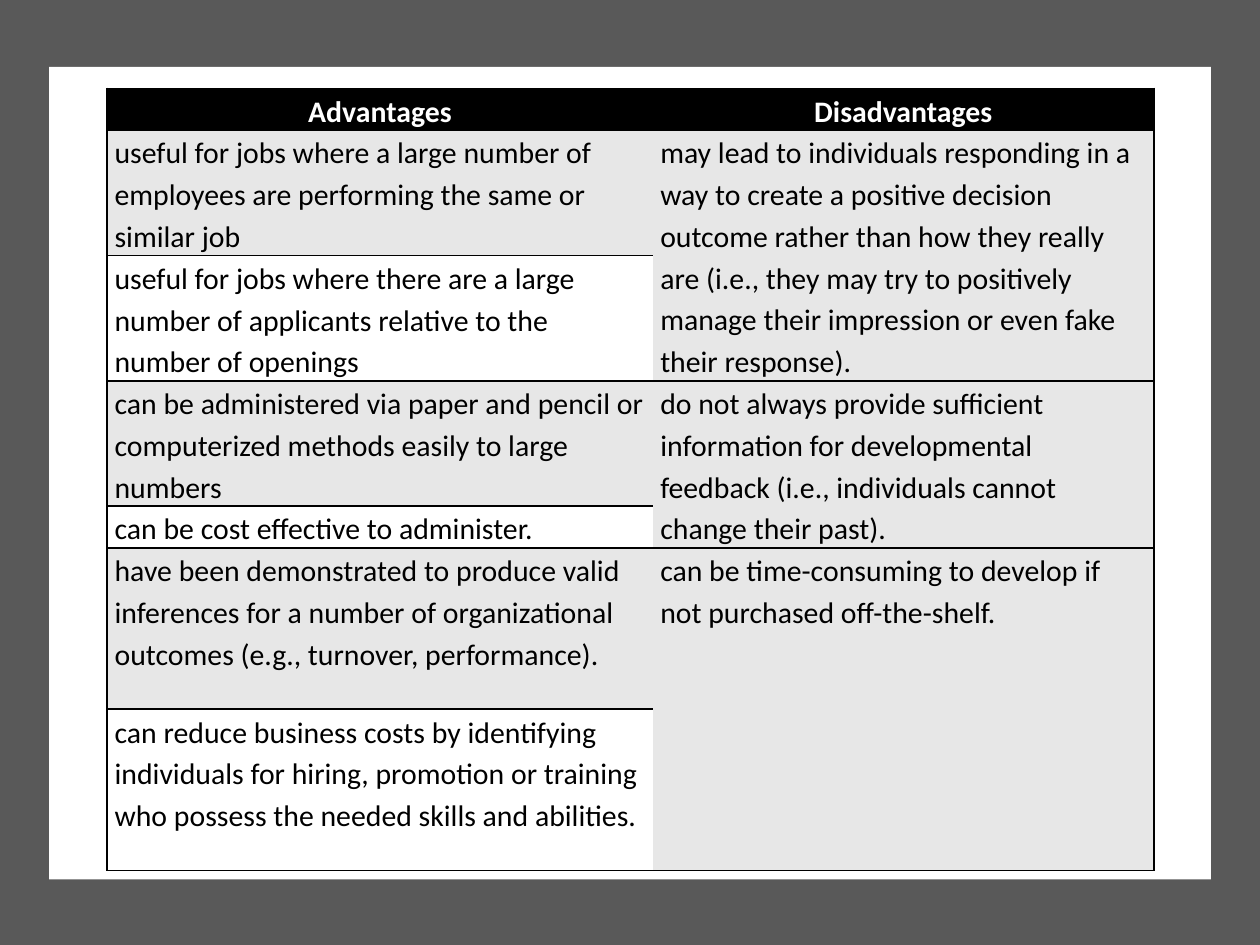
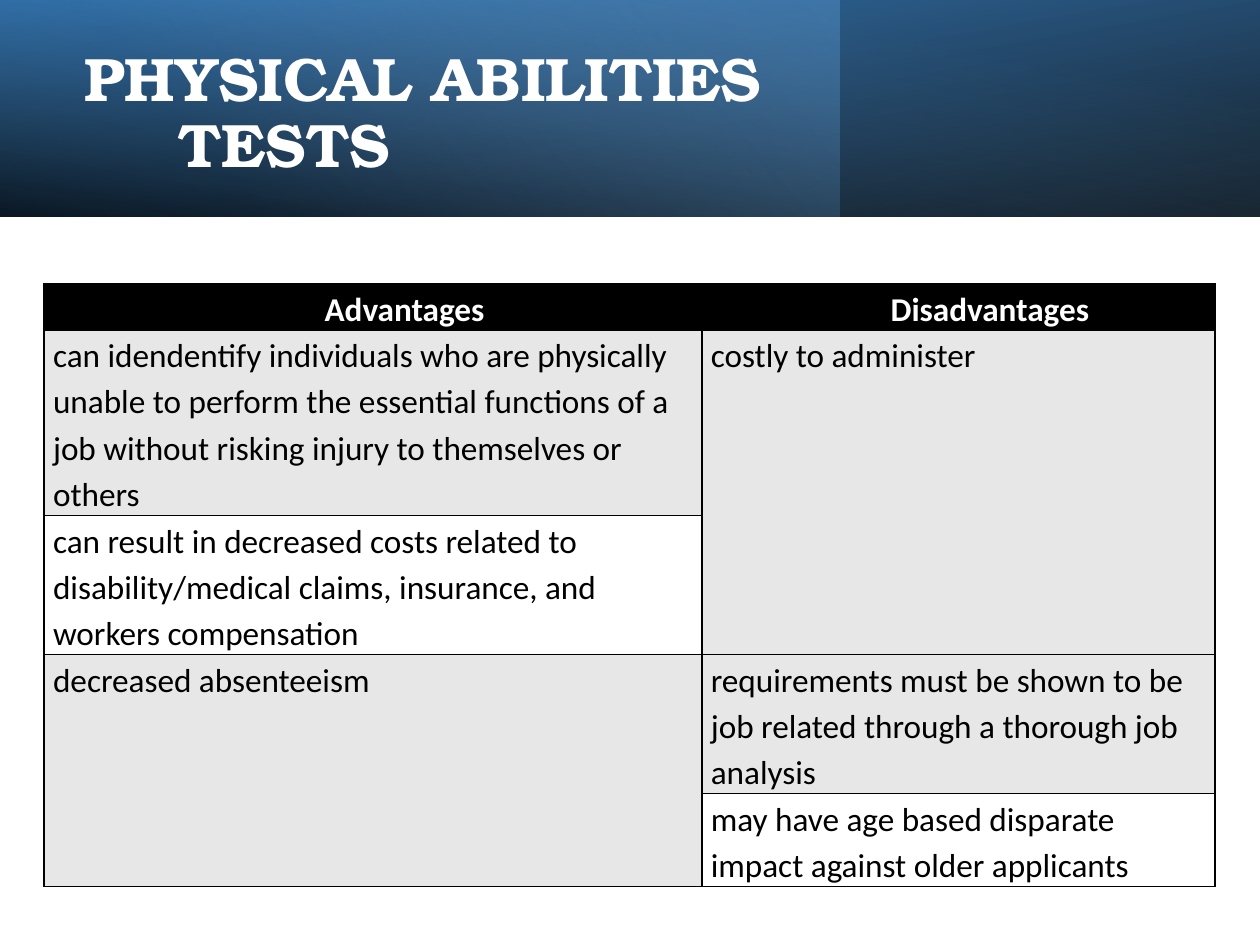
from dataclasses import dataclass

from lxml.etree import SubElement
from pptx import Presentation
from pptx.dml.color import RGBColor
from pptx.enum.shapes import MSO_SHAPE
from pptx.enum.text import MSO_ANCHOR, MSO_AUTO_SIZE, PP_ALIGN
from pptx.oxml import parse_xml
from pptx.oxml.ns import nsdecls, qn
from pptx.util import Cm, Pt


@dataclass(frozen=True)
class Theme:
    white: str = "FFFFFF"
    black: str = "000000"
    frame: str = "595959"
    shade: str = "E7E7E7"
    blue: str = "5B9BD5"
    deep_blue: str = "2E75B6"
    pale_blue: str = "9DC3E6"
    title_font: str = "TeX Gyre Bonum"
    body_font: str = "Calibri"
    title_size: float = 35
    line_spacing: float = 1.15
    border: float = 1


THEME = Theme()
WIDTH, HEIGHT = 25.4, 19.05
NO_STYLE = "{2D5ABB26-0587-4C30-8999-92F81FD0307C}"
HEADER = ("Advantages", "Disadvantages")

# None marks a cell that is covered by the one above it.
BIODATA = [
    HEADER,
    ("useful for jobs where a large number of employees are performing the same or similar job",
     "may lead to individuals responding in a way to create a positive decision outcome rather "
     "than how they really are (i.e., they may try to positively manage their impression or even "
     "fake their response)."),
    ("useful for jobs where there are a large number of applicants relative to the number of "
     "openings", None),
    ("can be administered via paper and pencil or computerized methods easily to large numbers",
     "do not always provide sufficient information for developmental feedback (i.e., individuals "
     "cannot change their past)."),
    ("can be cost effective to administer.", None),
    ("have been demonstrated to produce valid inferences for a number of organizational outcomes "
     "(e.g., turnover, performance).",
     "can be time-consuming to develop if not purchased off-the-shelf."),
    ("can reduce business costs by identifying individuals for hiring, promotion or training who "
     "possess the needed skills and abilities.", None),
]
PHYSICAL = [
    HEADER,
    ("can idendentify individuals who are physically unable to perform the essential functions "
     "of a job without risking injury to themselves or others", "costly to administer"),
    ("can result in decreased costs related to disability/medical claims, insurance, and workers "
     "compensation", None),
    ("decreased absenteeism",
     "requirements must be shown to be job related through a thorough job analysis"),
    (None, "may have age based disparate impact against older applicants"),
]


def format_text(p, font, size, color, bold):
    p.font.name, p.font.size, p.font.bold = font, Pt(size), bold
    p.font.color.rgb = RGBColor.from_string(color)


def add_rect(s, box, color=None):
    sp = s.shapes.add_shape(MSO_SHAPE.RECTANGLE, *map(Cm, box))
    sp.shadow.inherit = False
    sp.line.fill.background()
    if color:
        sp.fill.solid()
        sp.fill.fore_color.rgb = RGBColor.from_string(color)
    return sp


def add_gradient_rect(s, box, stops, angle, flip=False, rotation=0):
    """Stops are (position %, colour, opacity %); the angle runs clockwise."""
    sp = add_rect(s, box)
    sp.rotation = rotation
    spPr = sp._element.spPr
    if flip:
        spPr.find(qn("a:xfrm")).set("flipH", "1")
    grad = parse_xml(f'<a:gradFill {nsdecls("a")} rotWithShape="1"><a:gsLst/>'
                     f'<a:lin ang="{angle * 60000}" scaled="0"/></a:gradFill>')
    for position, color, opacity in stops:
        gs = SubElement(grad[0], qn("a:gs"), pos=str(position * 1000))
        clr = SubElement(gs, qn("a:srgbClr"), val=color)
        SubElement(clr, qn("a:alpha"), val=str(opacity * 1000))
    spPr.find(qn("a:prstGeom")).addnext(grad)


def set_borders(cell, sides):
    tcPr = cell._tc.get_or_add_tcPr()
    for i, side in enumerate(side for side in "LRTB" if side in sides):
        tcPr.insert(i, parse_xml(
            f'<a:ln{side} {nsdecls("a")} w="{Pt(THEME.border)}"><a:solidFill>'
            f'<a:srgbClr val="{THEME.black}"/></a:solidFill></a:ln{side}>'))


def fill_cell(cell, text, size, inset, is_header, fill, header_indent):
    cell.margin_left = cell.margin_right = Cm(inset)
    cell.margin_top = cell.margin_bottom = 0
    cell.fill.solid()
    cell.fill.fore_color.rgb = RGBColor.from_string(fill)
    p = cell.text_frame.paragraphs[0]
    p.text = text or ""
    p.line_spacing = THEME.line_spacing
    if is_header:
        p.alignment = PP_ALIGN.CENTER
        if header_indent:
            p._p.get_or_add_pPr().set("marL", str(Cm(header_indent)))
    format_text(p, THEME.body_font, size, THEME.white if is_header else THEME.black, is_header)


def add_comparison(s, left, top, cols, heights, rows, size, inset, header_indent=0,
                   divider=False):
    """Two columns; a row is shaded when both of its cells start there."""
    frame = s.shapes.add_table(len(rows), len(cols), *map(Cm, (left, top, sum(cols), sum(heights))))
    table = frame.table
    table.first_row = table.horz_banding = False
    table._tbl.tblPr.find(qn("a:tableStyleId")).text = NO_STYLE
    for column, width in zip(table.columns, cols):
        column.width = Cm(width)
    for r, texts in enumerate(rows):
        table.rows[r].height = Cm(heights[r])
        is_header = r == 0
        fill = THEME.black if is_header else THEME.white if None in texts else THEME.shade
        for c, text in enumerate(texts):
            cell = table.cell(r, c)
            covered = text is None
            fill_cell(cell, text, size, inset, is_header, THEME.shade if covered else fill,
                      header_indent)
            sides = "LR" if divider and not is_header else "LR"[c]
            set_borders(cell, sides + ("B" if covered else "TB"))
            if covered:
                table.cell(r - 1, c).merge(cell)


def add_title_band(s, left, top, width, height, title):
    band = (left, top, width, height)
    add_gradient_rect(s, band, [(0, THEME.black, 96), (100, THEME.deep_blue, 100)], 100,
                      flip=True, rotation=180)
    add_gradient_rect(s, (left, top, width * 2 / 3, height),
                      [(0, THEME.blue, 41), (74, THEME.pale_blue, 0)], 140)
    add_gradient_rect(s, band, [(0, THEME.black, 63), (78, THEME.blue, 15)], 260, flip=True)

    sp = s.shapes.title
    s.shapes._spTree.append(sp._element)  # bring the title in front of the band
    sp.left, sp.top = Cm(left + 1.45), Cm(top + 0.69)
    sp.width, sp.height = Cm(14.71), Cm(3.23)
    tf = sp.text_frame
    tf.text = title
    tf.word_wrap = True
    tf.auto_size = MSO_AUTO_SIZE.NONE
    tf.vertical_anchor = MSO_ANCHOR.MIDDLE
    p = tf.paragraphs[0]
    p.alignment = PP_ALIGN.LEFT
    p.line_spacing = 0.9
    p.space_after = Pt(6)
    hanging = Cm(1.9)
    pPr = p._p.get_or_add_pPr()
    pPr.set("marL", str(hanging))
    pPr.set("indent", str(-hanging))
    format_text(p, THEME.title_font, THEME.title_size, THEME.white, True)


def framed_slide(prs):
    s = prs.slides.add_slide(prs.slide_layouts[6])
    add_rect(s, (0, 0, WIDTH, HEIGHT), THEME.frame)
    add_rect(s, (0.99, 1.35, 23.42, 16.38), THEME.white)
    add_comparison(s, 2.16, 1.78, (11, 10.1), (0.81, 2.44, 2.44, 2.44, 0.81, 3.25, 3.25),
                   BIODATA, size=17, inset=0.15)


def titled_slide(prs):
    s = prs.slides.add_slide(prs.slide_layouts[5])
    add_title_band(s, 0, 0, WIDTH, 4.37, "PHYSICAL ABILITIES TESTS")
    add_comparison(s, 0.89, 5.72, (13.26, 10.34), (0.91, 3.63, 2.74, 2.74, 1.83),
                   PHYSICAL, size=19, inset=0.18, header_indent=1.27, divider=True)


def main():
    prs = Presentation()
    prs.slide_width, prs.slide_height = Cm(WIDTH), Cm(HEIGHT)
    framed_slide(prs)
    titled_slide(prs)
    prs.save("out.pptx")


if __name__ == "__main__":
    main()
